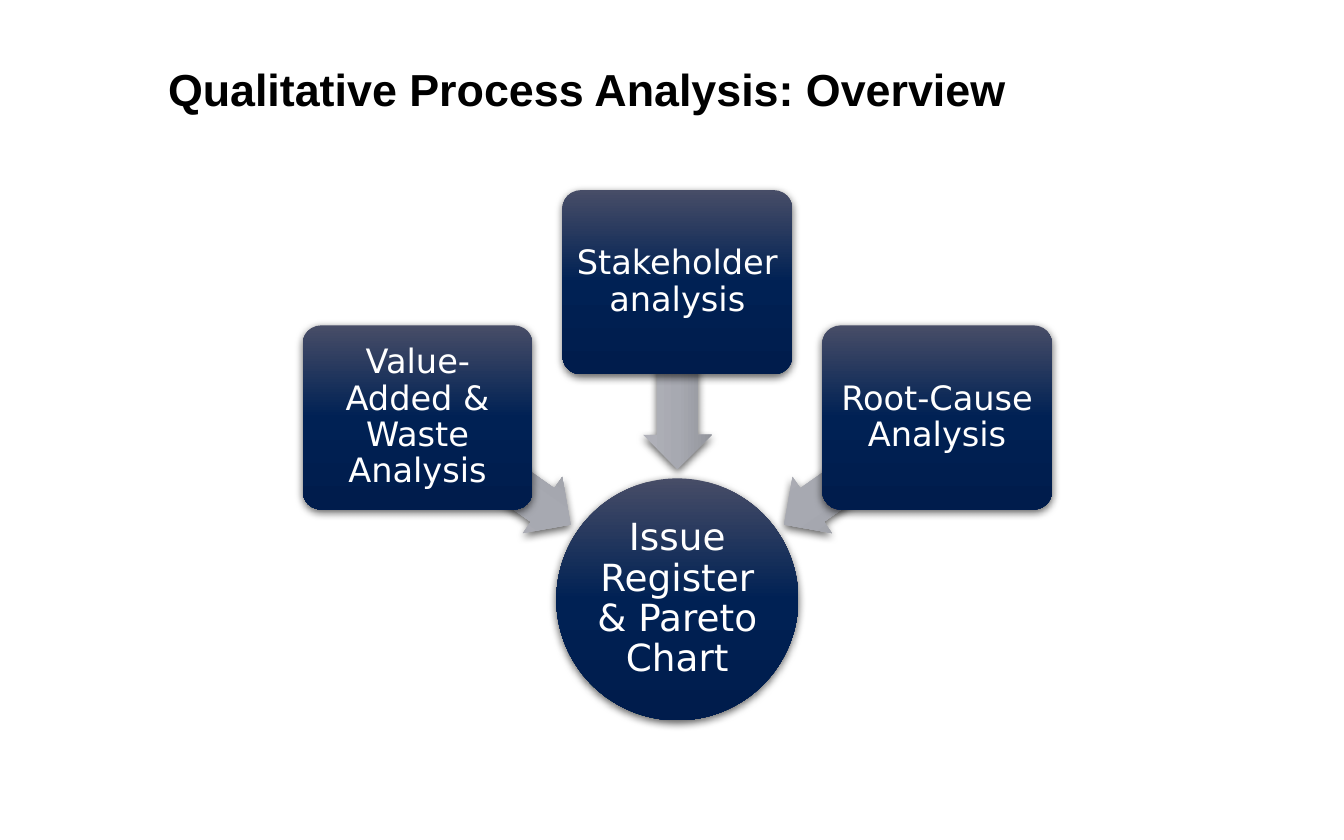
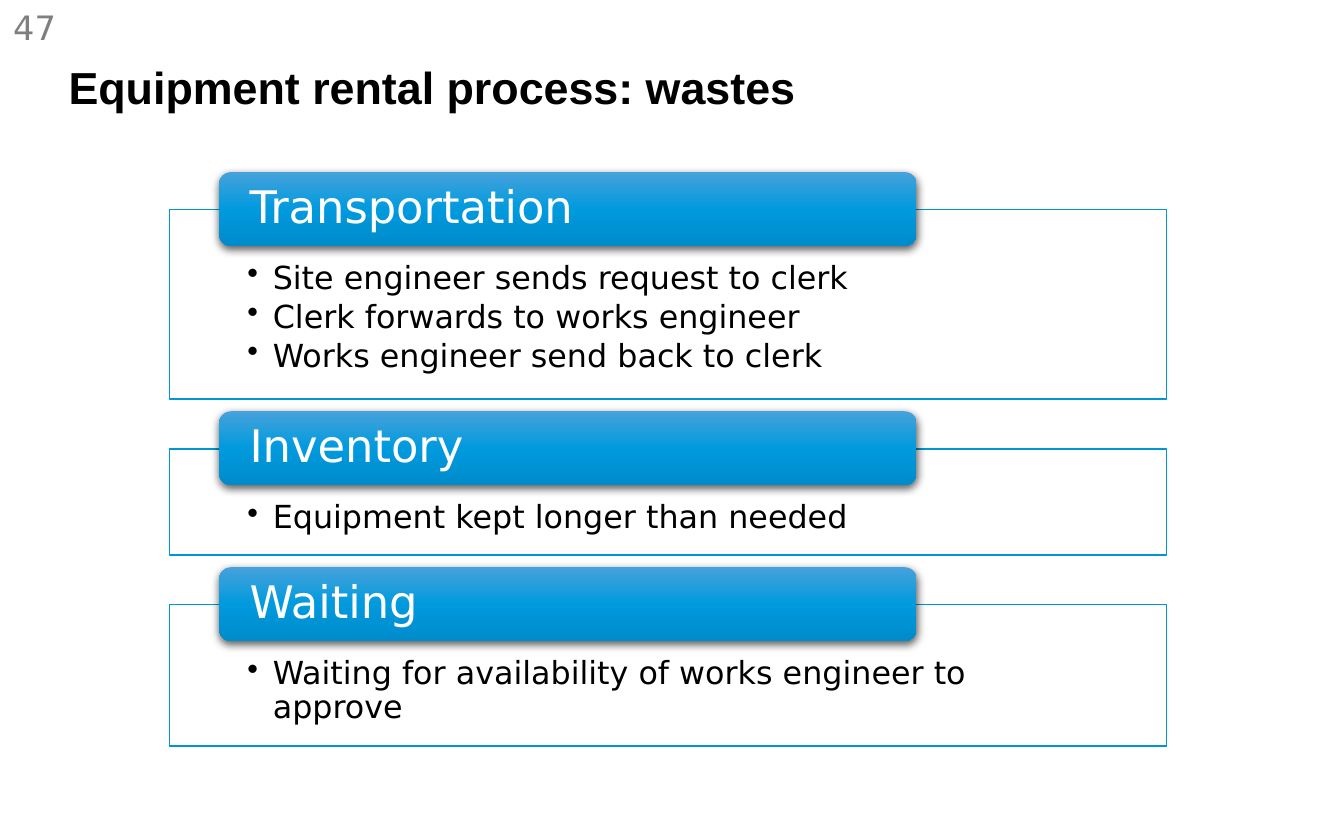
import copy
import math
from dataclasses import dataclass

from lxml import etree
from pptx import Presentation
from pptx.dml.color import RGBColor
from pptx.enum import shapes, text
from pptx.oxml import ns
from pptx.util import Inches, Pt

SHAPE = shapes.MSO_SHAPE
ALIGN = text.PP_ALIGN
ANCHOR = text.MSO_ANCHOR


@dataclass(frozen=True)
class Theme:
    # Colours
    black: str = "000000"
    white: str = "FFFFFF"
    grey: str = "7F7F7F"
    outline: str = "0096D3"
    navy: tuple = ("474D67", "002154", "001C4C")
    silver: tuple = ("B1B2BA", "A7A9B1", "93959C")
    blue: tuple = ("47A2DC", "009ADD", "008BCB")
    # Fonts and sizes
    title_font: str = "Arial"
    body_font: str = "DejaVu Sans"
    title: int = 24
    hub: int = 20
    node: int = 18
    item: int = 17
    number: int = 18
    line_spacing: float = 0.9


def set_all(target, values):
    for name, value in values.items():
        setattr(target, name, value)


def add_child(parent, tag, **attributes):
    return etree.SubElement(parent, ns.qn(tag), attributes)


class SlideBuilder:
    def __init__(self, deck, theme):
        self.deck = deck
        self.theme = theme
        self.page = None

    def new_page(self):
        self.page = self.deck.slides.add_slide(self.deck.slide_layouts[5])

    def frame(self, box, insets, anchor):
        """Prepare the text frame; insets are left, top, right, bottom."""
        frame = box.text_frame
        left, top, right, bottom = map(Inches, insets)
        set_all(frame, {
            "word_wrap": True, "auto_size": text.MSO_AUTO_SIZE.NONE,
            "vertical_anchor": anchor, "margin_left": left,
            "margin_top": top, "margin_right": right, "margin_bottom": bottom,
        })
        return frame

    def add_words(self, para, words, size, color, font=None, bold=False, **layout):
        set_all(para, layout)
        span = para.add_run()
        span.text = words
        set_all(span.font, {"name": font or self.theme.body_font,
                            "size": Pt(size), "bold": bold})
        span.font.color.rgb = RGBColor.from_string(color)

    def title(self, words, left, top, width, height):
        box = self.page.shapes.title
        set_all(box, {"left": Inches(left), "top": Inches(top),
                      "width": Inches(width), "height": Inches(height)})
        frame = self.frame(box, (0, 0, 0, 0), ANCHOR.MIDDLE)
        self.add_words(frame.paragraphs[0], words, self.theme.title, self.theme.black,
                       self.theme.title_font, bold=True, alignment=ALIGN.LEFT)

    def page_number(self, words):
        side = Inches(3.28)
        box = self.page.shapes.add_textbox(0, 0, side, side)
        frame = self.frame(box, (0.1, 0.05, 0.1, 0.05), ANCHOR.TOP)
        self.add_words(frame.paragraphs[0], words, self.theme.number, self.theme.grey)

    def glossy(self, kind, left, top, width, height, colors, adjust=()):
        """Add a shape with a three-stop gradient and a soft shadow."""
        box = self.page.shapes.add_shape(
            kind, *map(Inches, (left, top, width, height)))
        for index, value in enumerate(adjust):
            box.adjustments[index] = value
        box.line.fill.background()

        # Gradient from top to bottom
        box.fill.gradient()
        box.fill.gradient_angle = 270
        properties = box._element.spPr
        stops = properties.find(ns.qn("a:gradFill")).find(ns.qn("a:gsLst"))
        stops.insert(1, copy.deepcopy(stops[0]))
        for stop, position, color in zip(box.fill.gradient_stops, (0, 0.5, 1), colors):
            stop.position = position
            stop.color.rgb = RGBColor.from_string(color)

        # Shadow straight below
        box.shadow.inherit = False
        shadow = add_child(
            properties.find(ns.qn("a:effectLst")), "a:outerShdw",
            blurRad=str(Pt(4.5)), dist=str(Pt(1.5)), dir="5400000", rotWithShape="0")
        shade = add_child(shadow, "a:srgbClr", val=self.theme.black)
        add_child(shade, "a:alpha", val="62000")
        return box

    def label(self, box, words, size, inset):
        frame = self.frame(box, (inset,) * 4, ANCHOR.MIDDLE)
        self.add_words(frame.paragraphs[0], words, size, self.theme.white,
                       alignment=ALIGN.CENTER, line_spacing=self.theme.line_spacing)

    def panel(self, left, top, width, height, items):
        """Add an outlined box with a bulleted list."""
        box = self.page.shapes.add_shape(
            SHAPE.RECTANGLE, *map(Inches, (left, top, width, height)))
        box.shadow.inherit = False
        box.fill.solid()
        box.fill.fore_color.rgb = RGBColor.from_string(self.theme.white)
        fill = box._element.spPr.find(ns.qn("a:solidFill"))
        add_child(fill[0], "a:alpha", val="89000")
        box.line.color.rgb = RGBColor.from_string(self.theme.outline)
        box.line.width = Pt(0.75)

        frame = self.frame(box, (0.58, 0.39, 0.58, 0.13), ANCHOR.TOP)
        for index, item in enumerate(items):
            para = frame.add_paragraph() if index else frame.paragraphs[0]
            properties = para._p.get_or_add_pPr()
            properties.set("marL", str(Inches(0.19)))
            properties.set("indent", str(Inches(-0.19)))
            color = add_child(properties, "a:buClr")
            add_child(color, "a:srgbClr", val=self.theme.black)
            add_child(properties, "a:buChar", char="•")
            self.add_words(para, item, self.theme.item, self.theme.black,
                           level=1, alignment=ALIGN.LEFT,
                           line_spacing=self.theme.line_spacing,
                           space_before=Pt(2.5 if index else 0))

    def header(self, words, left, top, width, height):
        box = self.glossy(SHAPE.ROUNDED_RECTANGLE, left, top, width, height,
                          self.theme.blue, (0.167,))
        frame = self.frame(box, (0.2, 0, 0.2, 0), ANCHOR.MIDDLE)
        self.add_words(frame.paragraphs[0], words, self.theme.title, self.theme.white,
                       alignment=ALIGN.LEFT, line_spacing=self.theme.line_spacing)


def build_overview(builder):
    theme = builder.theme
    builder.new_page()
    builder.title("Qualitative Process Analysis: Overview", 1.25, 0.14, 7.5, 1.04)

    # Hub that collects the results
    hub_x, hub_y, diameter = 5.04, 4.46, 1.8
    hub = builder.glossy(SHAPE.OVAL, hub_x - diameter / 2, hub_y - diameter / 2,
                         diameter, diameter, theme.navy)
    builder.label(hub, "Issue Register & Pareto Chart", theme.hub, 0.01)

    def around_hub(angle, radius, width, height):
        x = hub_x + radius * math.cos(math.radians(angle))
        y = hub_y + radius * math.sin(math.radians(angle))
        return x - width / 2, y - height / 2, width, height

    # Analyses placed on an arc, each with an arrow to the hub
    analyses = ("Value-Added & Waste Analysis", "Stakeholder analysis",
                "Root-Cause Analysis")
    for index, words in enumerate(analyses):
        angle = 215 + 55 * index
        arrow = builder.glossy(SHAPE.LEFT_ARROW, *around_hub(angle, 1.66, 1.38, 0.51),
                               theme.silver, (0.6, 0.5))
        arrow.rotation = angle
        node = builder.glossy(SHAPE.ROUNDED_RECTANGLE,
                              *around_hub(angle, 2.36, 1.71, 1.37), theme.navy, (0.1,))
        builder.label(node, words, theme.node, 0.04)


def build_wastes(builder):
    builder.new_page()

    # Panels stacked with equal gaps, each under its overlapping header
    wastes = (
        ("Transportation", 1.41, ("Site engineer sends request to clerk",
                                  "Clerk forwards to works engineer",
                                  "Works engineer send back to clerk")),
        ("Inventory", 0.79, ("Equipment kept longer than needed",)),
        ("Waiting", 1.05, ("Waiting for availability of works engineer to approve",)),
    )
    top, gap = 1.56, 0.37
    for name, height, items in wastes:
        builder.panel(1.26, top, 7.42, height, items)
        builder.header(name, 1.63, top - 0.28, 5.19, 0.55)
        top += height + gap

    builder.title("Equipment rental process: wastes", 0.51, 0.15, 7.48, 0.99)
    builder.page_number("47")


def main():
    deck = Presentation()
    deck.slide_width, deck.slide_height = Inches(10), Inches(6.25)
    builder = SlideBuilder(deck, Theme())
    build_overview(builder)
    build_wastes(builder)
    deck.save("out.pptx")


if __name__ == "__main__":
    main()
